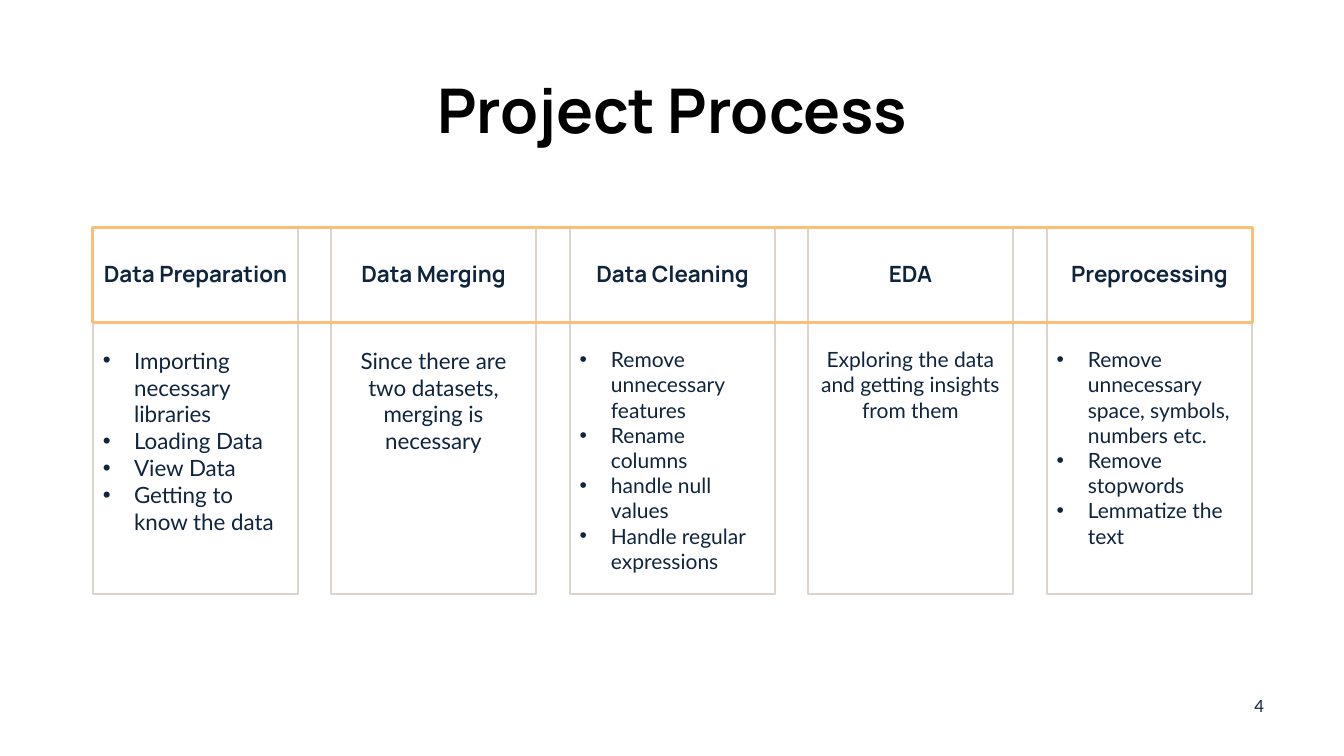
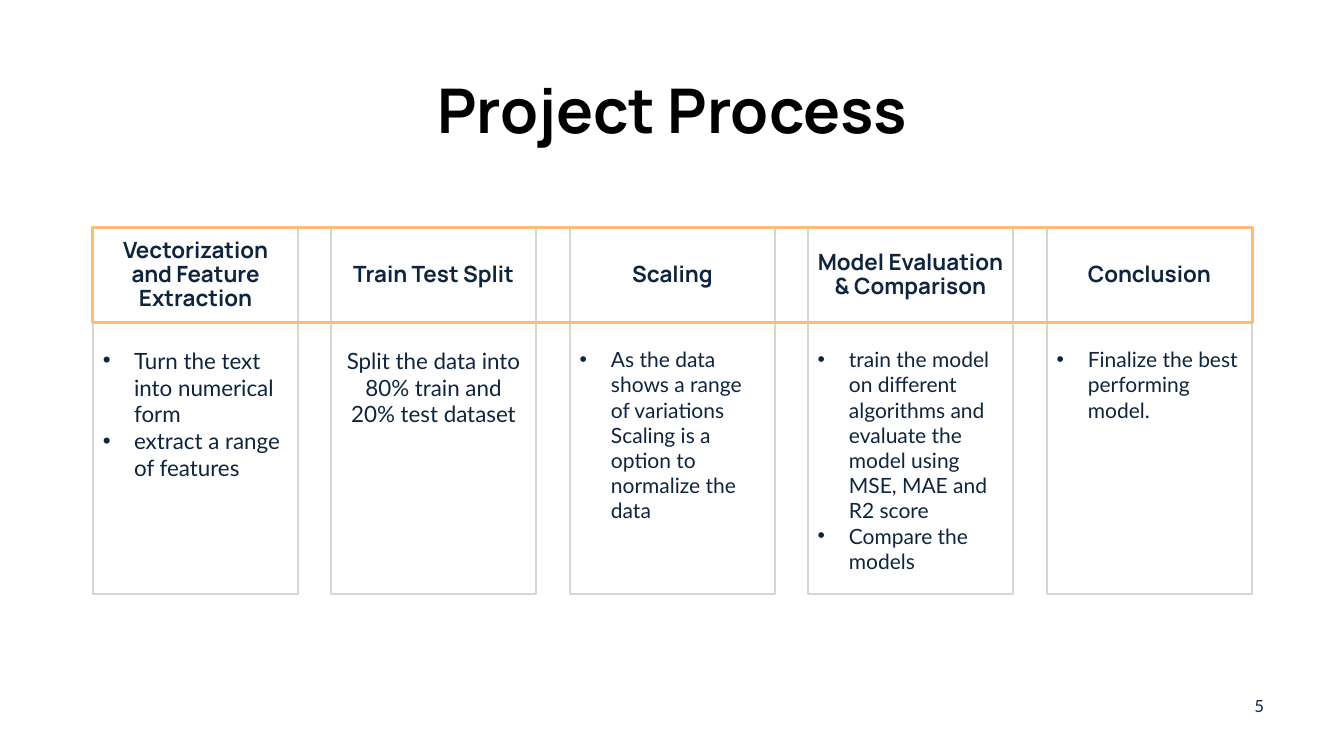
from copy import deepcopy
from dataclasses import dataclass

from pptx import Presentation
from pptx import util as u
from pptx.dml.color import RGBColor
from pptx.enum import shapes, text
from pptx.oxml import xmlchemy


@dataclass(frozen=True)
class Theme:
    ink: str = "0F253E"
    title_ink: str = "000000"
    card_line: str = "DCD3CC"
    frame_line: str = "FABE79"
    heading_font: str = "Manrope"
    body_font: str = "Lato"
    title_size: int = 44
    heading_size: int = 16
    large_body_size: int = 16
    body_size: int = 15
    number_size: int = 12


THEME = Theme()
PX = 9144
COLUMNS = 5
LEFT, WIDTH, CARD_WIDTH = 92, 1150, 204
HEADING_TOP, HEADING_HEIGHT = 226, 94
BODY_TOP, BODY_HEIGHT = 320, 269
HEADING_INDEX, BODY_INDEX = 20, 30
HANGING = 31

PREPARATION_STAGES = [
    ("Data Preparation", ["Importing necessary libraries", "Loading Data",
                          "View Data", "Getting to know the data"]),
    ("Data Merging", "Since there are two datasets, merging is necessary"),
    ("Data Cleaning", ["Remove unnecessary features", "Rename columns",
                       "handle null values", "Handle regular expressions"]),
    ("EDA", "Exploring the data and getting insights from them"),
    ("Preprocessing", ["Remove unnecessary space, symbols, numbers etc.",
                       "Remove stopwords", "Lemmatize the text"]),
]
MODEL_STAGES = [
    ("Vectorization and Feature Extraction",
     ["Turn the text into numerical form", "extract a range of features"]),
    ("Train Test Split", "Split the data into 80% train and 20% test dataset"),
    ("Scaling", ["As the data shows a range of variations Scaling is a option "
                 "to normalize the data"]),
    ("Model Evaluation & Comparison",
     ["train the model on different algorithms and evaluate the model using "
      "MSE, MAE and R2 score", "Compare the models"]),
    ("Conclusion", ["Finalize the best performing model."]),
]


def px(length):
    return u.Emu(length * PX)


def place(shape, left, top, width, height):
    shape.left, shape.top = px(left), px(top)
    shape.width, shape.height = px(width), px(height)


def outline(shape, color, weight):
    shape.fill.background()
    shape.line.color.rgb = RGBColor.from_string(color)
    shape.line.width = u.Pt(weight)


def set_frame(shape, anchor, top_inset=5):
    frame = shape.text_frame
    frame.word_wrap = True
    frame.auto_size = text.MSO_AUTO_SIZE.NONE
    frame.vertical_anchor = anchor
    frame.margin_left = frame.margin_right = px(10)
    frame.margin_top, frame.margin_bottom = px(top_inset), px(5)
    return frame


def format_paragraph(paragraph, font, size, color, bold=False,
                     align=text.PP_ALIGN.CENTER, before=0, spacing=1.0):
    paragraph.alignment = align
    paragraph.space_before = u.Pt(before)
    paragraph.line_spacing = spacing
    for run in paragraph.runs:
        run.font.name = font
        run.font.size = u.Pt(size)
        run.font.bold = bold
        run.font.color.rgb = RGBColor.from_string(color)


def set_bullet(paragraph, bulleted):
    properties = paragraph._p.get_or_add_pPr()
    indent = px(HANGING) if bulleted else 0
    properties.set("marL", str(indent))
    properties.set("indent", str(-indent))
    name = "a:buChar" if bulleted else "a:buNone"
    bullet = xmlchemy.OxmlElement(name)
    if bulleted:
        bullet.set("char", "•")
    properties.append(bullet)


def clone_placeholder(layout, prototype, index, box):
    element = deepcopy(prototype.element)
    element.ph.idx = index
    identity = element.xpath("./p:nvSpPr/p:cNvPr")[0]
    identity.set("id", str(index))
    identity.set("name", f"Stage Placeholder {index}")
    layout.shapes._spTree.append(element)
    place(layout.placeholders.get(idx=index), *box)


def build_layout(presentation):
    layout = presentation.slide_layouts.get_by_name("Comparison")
    place(layout.placeholders.get(idx=0), LEFT, 40, WIDTH, 145)
    prototypes = [layout.placeholders.get(idx=index) for index in range(1, 5)]
    heading, body = prototypes[:2]
    for column in range(COLUMNS):
        left = LEFT + column * (WIDTH - CARD_WIDTH) // (COLUMNS - 1)
        clone_placeholder(layout, heading, HEADING_INDEX + column,
                          (left, HEADING_TOP, CARD_WIDTH, HEADING_HEIGHT))
        clone_placeholder(layout, body, BODY_INDEX + column,
                          (left, BODY_TOP, CARD_WIDTH, BODY_HEIGHT))
    for prototype in prototypes:
        layout.shapes._spTree.remove(prototype.element)
    return layout


def fill_title(slide, title):
    frame = set_frame(slide.shapes.title, text.MSO_ANCHOR.MIDDLE)
    frame.text = title
    format_paragraph(frame.paragraphs[0], THEME.heading_font, THEME.title_size,
                     THEME.title_ink, bold=True, spacing=0.9)


def fill_heading(shape, heading):
    outline(shape, THEME.card_line, 1.5)
    frame = set_frame(shape, text.MSO_ANCHOR.MIDDLE)
    frame.text = heading
    format_paragraph(frame.paragraphs[0], THEME.heading_font,
                     THEME.heading_size, THEME.ink, bold=True, before=10,
                     spacing=0.9)


def fill_body(shape, content, size):
    outline(shape, THEME.card_line, 1.5)
    frame = set_frame(shape, text.MSO_ANCHOR.TOP, top_inset=24)
    bulleted = isinstance(content, list)
    frame.text = "\n".join(content) if bulleted else content
    align = text.PP_ALIGN.LEFT if bulleted else text.PP_ALIGN.CENTER
    for paragraph in frame.paragraphs:
        format_paragraph(paragraph, THEME.body_font, size, THEME.ink,
                         align=align)
        set_bullet(paragraph, bulleted)


def add_heading_frame(slide):
    frame = slide.shapes.add_shape(
        shapes.MSO_SHAPE.RECTANGLE, px(LEFT), px(HEADING_TOP), px(WIDTH),
        px(HEADING_HEIGHT))
    frame.shadow.inherit = False
    outline(frame, THEME.frame_line, 2.25)


def add_page_number(slide, number):
    box = slide.shapes.add_textbox(px(1224), px(680), px(50), px(40))
    frame = set_frame(box, text.MSO_ANCHOR.MIDDLE)
    frame.text = str(number)
    format_paragraph(frame.paragraphs[0], THEME.body_font, THEME.number_size,
                     THEME.ink)


def add_process_slide(presentation, layout, stages, number):
    slide = presentation.slides.add_slide(layout)
    fill_title(slide, "Project Process")
    for column, (heading, content) in enumerate(stages):
        size = THEME.large_body_size if column < 2 else THEME.body_size
        fill_heading(slide.placeholders[HEADING_INDEX + column], heading)
        fill_body(slide.placeholders[BODY_INDEX + column], content, size)
    add_heading_frame(slide)
    add_page_number(slide, number)


def main():
    presentation = Presentation()
    presentation.slide_width, presentation.slide_height = px(1333), px(750)
    layout = build_layout(presentation)
    for number, stages in enumerate((PREPARATION_STAGES, MODEL_STAGES), 4):
        add_process_slide(presentation, layout, stages, number)
    presentation.save("out.pptx")


if __name__ == "__main__":
    main()
